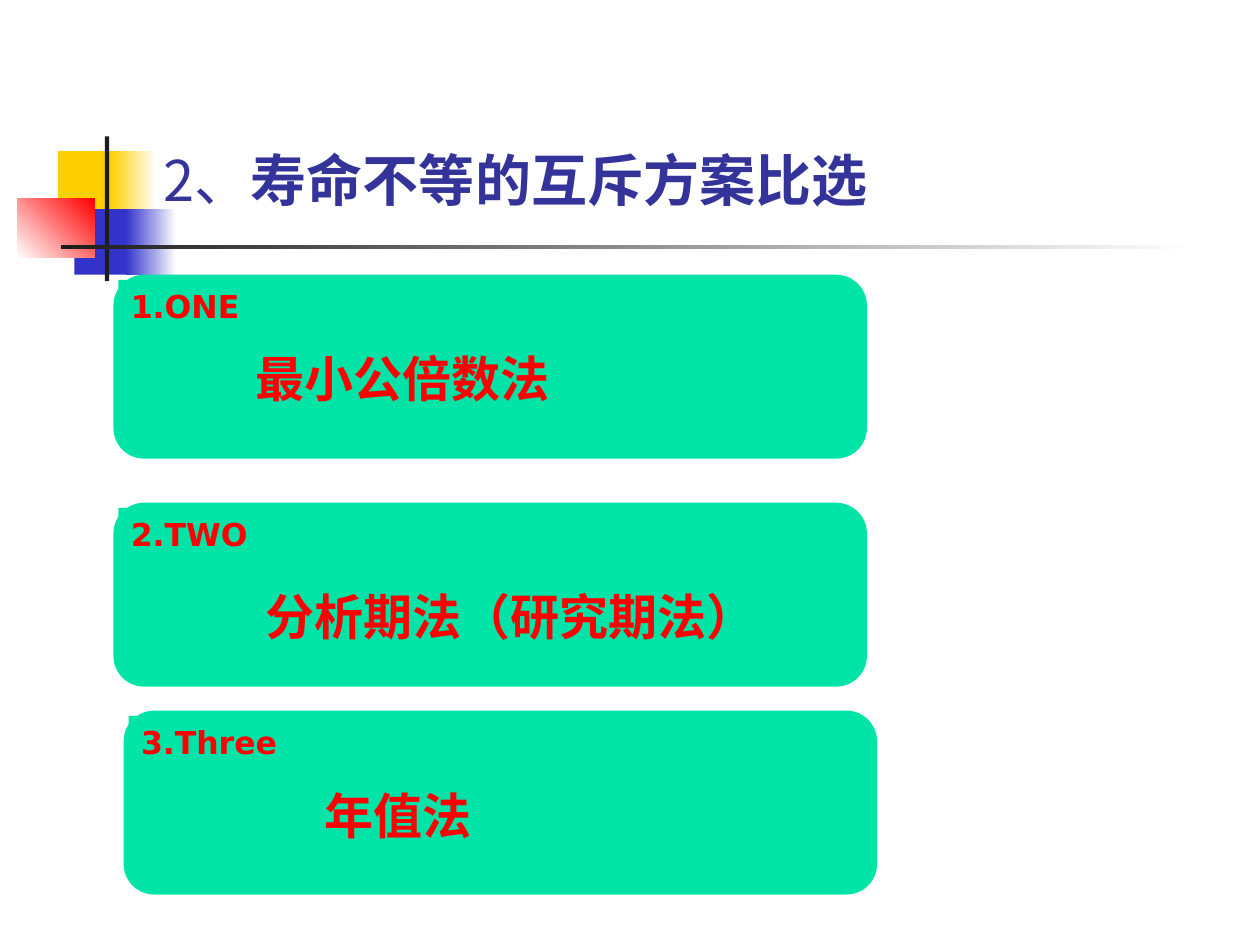
from dataclasses import dataclass

from pptx import Presentation
from pptx.dml.color import RGBColor
from pptx.enum.shapes import MSO_SHAPE
from pptx.enum.text import MSO_ANCHOR, PP_ALIGN
from pptx.util import Pt

RECT, ROUND = MSO_SHAPE.RECTANGLE, MSO_SHAPE.ROUNDED_RECTANGLE
MIDDLE, LEFT = MSO_ANCHOR.MIDDLE, PP_ALIGN.LEFT


@dataclass(frozen=True)
class Theme:
    gold: str = "FFCF01"
    blue: str = "3333CC"
    red: str = "FF0000"
    dark: str = "1C1C1C"
    white: str = "FFFFFF"
    navy: str = "333399"
    green: str = "00E4A8"
    head: int = 32
    body: int = 28
    label: int = 18
    cjk: str = "Noto Sans CJK SC"
    sans: str = "Arial"
    wide: str = "DejaVu Sans"


THEME = Theme()


def add_block(shapes, kind, box, fill, end=None, angle=0):
    """Add a borderless shape, solid or fading from fill to end."""
    block = shapes.add_shape(kind, *map(Pt, box))
    block.shadow.inherit = False
    block.line.fill.background()
    if end is None:
        block.fill.solid()
        block.fill.fore_color.rgb = RGBColor.from_string(fill)
    else:
        block.fill.gradient()
        block.fill.gradient_angle = angle
        for stop, color in zip(block.fill.gradient_stops, (fill, end)):
            stop.color.rgb = RGBColor.from_string(color)
    return block


def add_run(para, text, size, font, color, bold=True):
    run = para.add_run()
    run.text = text
    run.font.size = Pt(size)
    run.font.name = font
    run.font.bold = bold
    run.font.color.rgb = RGBColor.from_string(color)
    # East Asian glyphs need their own typeface entry
    props = run.font._element
    east = props.makeelement(props.tag.replace("rPr", "ea"), {"typeface": THEME.cjk})
    props.find(props.tag.replace("rPr", "latin")).addnext(east)


deck = Presentation()
deck.slide_width, deck.slide_height = Pt(720), Pt(540)
slide = deck.slides.add_slide(deck.slide_layouts[6])
shapes = slide.shapes

# Corner ornament and rule
ornament = [
    ((33.1, 86.4, 34.6, 37.4), THEME.gold, None, 0),
    ((63.4, 86.4, 25.9, 37.4), THEME.gold, THEME.white, 0),
    ((42.5, 119.5, 33.1, 37.4), THEME.blue, None, 0),
    ((72, 119.5, 28.8, 37.4), THEME.blue, THEME.white, 0),
    ((9.9, 113.6, 44.1, 33.4), THEME.white, THEME.red, 45),
    ((59.9, 78, 2.5, 82.6), THEME.dark, None, 0),
    ((34.8, 140, 648, 2.6), THEME.dark, THEME.white, 0),
]
for box, fill, end, angle in ornament:
    add_block(shapes, RECT, box, fill, end, angle)

# Title
title = shapes.add_textbox(Pt(93.6), Pt(69.5), Pt(613.4), Pt(66.2)).text_frame
title.margin_left = title.margin_right = title.margin_top = title.margin_bottom = 0
title.word_wrap = True
title.vertical_anchor = MIDDLE
para = title.paragraphs[0]
add_run(para, "2、", THEME.head, THEME.cjk, THEME.navy, bold=False)
add_run(para, "寿命不等的互斥方案比选", THEME.head, THEME.cjk, THEME.navy)

# Method cards: corner, label, method, and box of the method text
cards = [
    (64.8, 157, "1.ONE", "最小公倍数法", (139, 195.5, 300.2, 41)),
    (64.8, 287.3, "2.TWO", "分析期法（研究期法）", (144.7, 331.5, 317.5, 41)),
    (70.6, 406.1, "3.Three", "年值法", (178.6, 445, 124.6, 41)),
]
for x, y, name, method, area in cards:
    card = shapes.add_group_shape().shapes
    add_block(card, ROUND, (x, y, 430.6, 105.1), THEME.green)
    add_block(card, ROUND, (x + 84.2, y + 9.4, 339.8, 86.4), THEME.green)
    label = add_block(card, RECT, (x + 2.9, y + 2.9, 82, 30.2), THEME.green).text_frame
    label.word_wrap = False
    label.vertical_anchor = MIDDLE
    label.paragraphs[0].alignment = LEFT
    add_run(label.paragraphs[0], name, THEME.label, THEME.wide, THEME.red)

    frame = shapes.add_textbox(*map(Pt, area)).text_frame
    frame.word_wrap = True
    frame.vertical_anchor = MIDDLE
    add_run(frame.paragraphs[0], method, THEME.body, THEME.sans, THEME.red)

deck.save("out.pptx")
